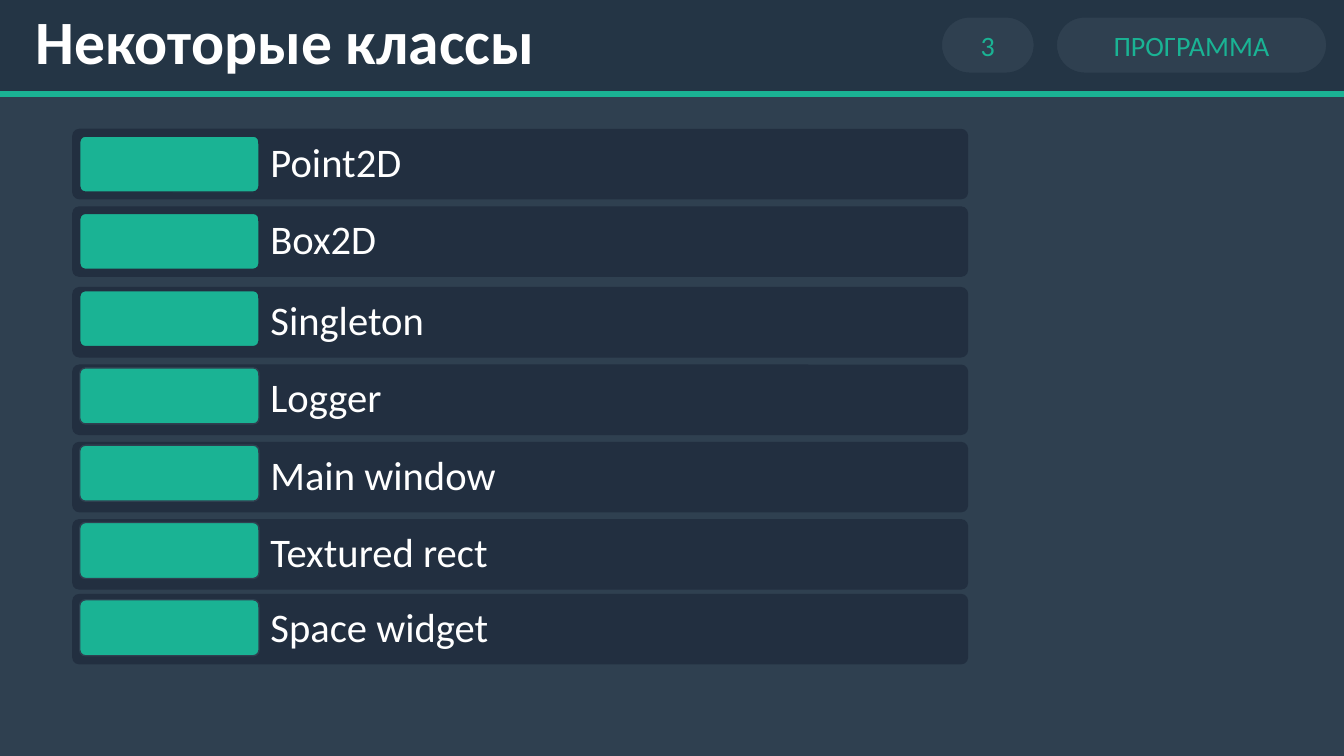
from dataclasses import dataclass

from pptx import Presentation
from pptx.dml.color import RGBColor
from pptx.enum.shapes import MSO_SHAPE as Preset
from pptx.enum.text import MSO_ANCHOR as Anchor, PP_ALIGN as Align
from pptx.shapes.autoshape import Shape
from pptx.slide import Slide
from pptx.util import Pt

WHITE = "FFFFFF"
GREEN = "1AB394"
SLATE = "2F4050"
HEADER = "243545"
ROW = "222F40"

ROW_LEFT, ROW_WIDTH, ROW_HEIGHT = 51.6, 640, 50.4
LABEL_LEFT, LABEL_WIDTH, LABEL_INSET = 184.5, 507, 8.64
TAG_LEFT, TAG_TOP, TAG_WIDTH, TAG_HEIGHT = 57, 97.2, 128, 40
TAG_STEP = 55.2


@dataclass
class Box:
    left: float
    top: float
    width: float
    height: float


@dataclass
class Pill:
    text: str
    box: Box


@dataclass
class ClassRow:
    name: str
    top: float
    tag_line: str


PILLS = [
    Pill("ПРОГРАММА", Box(754.6, 12.2, 193, 40)),
    Pill("3", Box(672.5, 12.2, 66.2, 40)),
]

CLASS_ROWS = [
    ClassRow("Point2D", 92, ROW),
    ClassRow("Box2D", 147.4, ROW),
    ClassRow("Singleton", 205, ROW),
    ClassRow("Logger", 260.4, SLATE),
    ClassRow("Main window", 315.6, SLATE),
    ClassRow("Textured rect", 370.8, SLATE),
    ClassRow("Space widget", 424.2, SLATE),
]


def color(value: str) -> RGBColor:
    return RGBColor.from_string(value)


def add_panel(slide: Slide, box: Box, fill: str, line: str = "",
              line_width: float = 1, rounding: float = 0) -> Shape:
    preset = Preset.ROUNDED_RECTANGLE if rounding else Preset.RECTANGLE
    shape = slide.shapes.add_shape(
        preset, Pt(box.left), Pt(box.top), Pt(box.width), Pt(box.height))
    shape.shadow.inherit = False
    if rounding:
        shape.adjustments[0] = rounding
    shape.fill.solid()
    shape.fill.fore_color.rgb = color(fill)
    if line:
        shape.line.color.rgb = color(line)
        shape.line.width = Pt(line_width)
    else:
        shape.line.fill.background()
    return shape


def write(shape: Shape, text: str, size: float, text_color: str,
          align: Align = Align.LEFT, bold: bool = False,
          insets: tuple[float, float, float, float] = (0, 0, 0, 0),
          line_spacing: float = 1) -> None:
    frame = shape.text_frame
    frame.text = text
    frame.word_wrap = True
    frame.vertical_anchor = Anchor.MIDDLE
    frame.margin_left, frame.margin_top, frame.margin_right, frame.margin_bottom = map(Pt, insets)
    paragraph = frame.paragraphs[0]
    paragraph.alignment = align
    paragraph.line_spacing = line_spacing
    font = paragraph.runs[0].font
    font.name = "Calibri"
    font.size = Pt(size)
    font.bold = bold
    font.color.rgb = color(text_color)


def add_header(slide: Slide) -> None:
    title = add_panel(slide, Box(-3, -3, 967, 70), HEADER, GREEN, 4.5)
    write(title, "Некоторые классы", 44, WHITE, bold=True,
          insets=(28.2, 3.6, 7.2, 3.6), line_spacing=0.9)
    for pill in PILLS:
        shape = add_panel(slide, pill.box, SLATE, HEADER, 0.75, 0.5)
        write(shape, pill.text, 20, GREEN, Align.CENTER)


def add_class_row(slide: Slide, row: ClassRow, index: int) -> None:
    add_panel(slide, Box(ROW_LEFT, row.top, ROW_WIDTH, ROW_HEIGHT), ROW, rounding=0.1)
    label = slide.shapes.add_textbox(
        Pt(LABEL_LEFT), Pt(row.top), Pt(LABEL_WIDTH), Pt(ROW_HEIGHT))
    write(label, row.name, 29, WHITE, insets=(LABEL_INSET,) * 4, line_spacing=0.9)
    tag_box = Box(TAG_LEFT, TAG_TOP + index * TAG_STEP, TAG_WIDTH, TAG_HEIGHT)
    add_panel(slide, tag_box, GREEN, row.tag_line, rounding=0.1)


def main() -> None:
    presentation = Presentation()
    presentation.slide_width = Pt(960)
    presentation.slide_height = Pt(540)
    slide = presentation.slides.add_slide(presentation.slide_layouts[6])
    slide.background.fill.solid()
    slide.background.fill.fore_color.rgb = color(SLATE)
    add_header(slide)
    for index, row in enumerate(CLASS_ROWS):
        add_class_row(slide, row, index)
    presentation.save("out.pptx")


if __name__ == "__main__":
    main()
